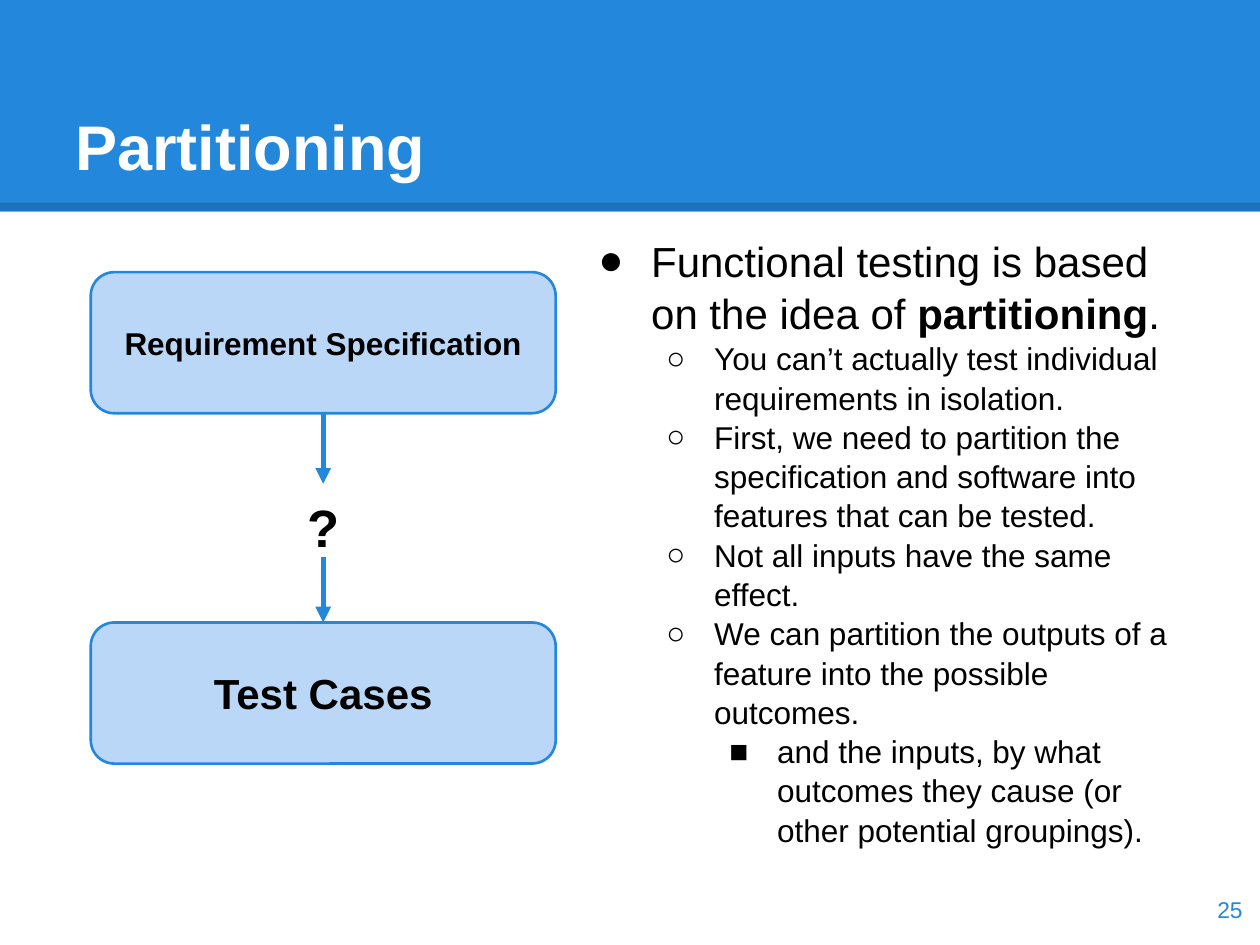
from lxml.etree import SubElement
from pptx import Presentation
from pptx.dml.color import RGBColor
from pptx.enum.shapes import MSO_CONNECTOR, MSO_SHAPE
from pptx.enum.text import MSO_ANCHOR, PP_ALIGN
from pptx.oxml.ns import qn
from pptx.util import Inches, Pt

# Content
TITLE = "Partitioning"
PAGE_NUMBER = "25"
QUESTION = "?"
STAGES = [("Requirement Specification", 18), ("Test Cases", 24)]
# Each point: level, then spans of (text, bold)
POINTS = [
    (0, [("Functional testing is based on the idea of ", False),
         ("partitioning", True), (".", False)]),
    (1, [("You can’t actually test individual requirements in isolation.", False)]),
    (1, [("First, we need to partition the specification and software into "
          "features that can be tested.", False)]),
    (1, [("Not all inputs have the same effect.", False)]),
    (1, [("We can partition the outputs of a feature into the possible outcomes.", False)]),
    (2, [("and the inputs, by what outcomes they cause (or other potential "
          "groupings).", False)]),
]

# Style and layout, in inches and points
COLORS = {"blue": "2388DB", "pale": "BBD7F8", "black": "000000", "white": "FFFFFF"}
FONT = "Arial"
WIDTH, HEIGHT = 10, 7.5
BANNER_HEIGHT = 1.68
STAGE_LEFT, STAGE_TOP, STAGE_WIDTH, STAGE_HEIGHT = 0.72, 2.16, 3.69, 1.12
STAGE_STEP = 2.78
# Level: bullet, hanging indent, text size
LEVELS = [("●", 0.42, 24), ("○", 0.38, 18), ("■", 0.38, 18)]


def color(name):
    return RGBColor.from_string(COLORS[name])


def style(font, size, ink, bold=False):
    font.name, font.size, font.bold = FONT, Pt(size), bold
    font.color.rgb = color(ink)


def set_frame(shape, anchor):
    frame = shape.text_frame
    frame.word_wrap = True
    frame.vertical_anchor = anchor
    frame.margin_left = frame.margin_right = Inches(0.1)
    frame.margin_top = frame.margin_bottom = Inches(0.1)
    return frame


def write(shape, text, size, ink, bold, align, anchor):
    para = set_frame(shape, anchor).paragraphs[0]
    para.text = text
    para.alignment = align
    style(para.runs[0].font, size, ink, bold)


def add_text(page, area, *text_style):
    write(page.shapes.add_textbox(*map(Inches, area)), *text_style)


def add_block(page, kind, area, fill):
    block = page.shapes.add_shape(kind, *map(Inches, area))
    block.shadow.inherit = False
    block.fill.solid()
    block.fill.fore_color.rgb = color(fill)
    block.line.fill.background()
    return block


def add_line(page, start, end, ink, width):
    line = page.shapes.add_connector(MSO_CONNECTOR.STRAIGHT, *map(Inches, start + end))
    line.line.color.rgb = color(ink)
    line.line.width = Pt(width)
    SubElement(line._element.spPr, qn("a:effectLst"))
    return line


def add_arrow(page, x, top, bottom):
    arrow = add_line(page, (x, top), (x, bottom), "blue", 3)
    SubElement(arrow.line._get_or_add_ln(), qn("a:tailEnd"), type="triangle")


def add_bullet(para, level):
    bullet, hanging, _ = LEVELS[level]
    para.level = level
    properties = para._p.get_or_add_pPr()
    properties.set("marL", str(Inches(0.5 * (level + 1))))
    properties.set("indent", str(-Inches(hanging)))
    ink = SubElement(properties, qn("a:buClr"))
    SubElement(ink, qn("a:srgbClr"), val=COLORS["black"])
    SubElement(properties, qn("a:buFont"), typeface=FONT)
    SubElement(properties, qn("a:buChar"), char=bullet)


def draw_banner(page):
    add_block(page, MSO_SHAPE.RECTANGLE, (0, 0, WIDTH, BANNER_HEIGHT), "blue")
    edge = add_line(page, (0, 1.64), (WIDTH, 1.64), "black", 4.5)
    ink = edge.line._get_or_add_ln().find(".//" + qn("a:srgbClr"))
    SubElement(ink, qn("a:alpha"), val="15000")
    add_text(page, (0.5, 0.3, 9, 1.25), TITLE, 36, "white", True,
             PP_ALIGN.LEFT, MSO_ANCHOR.BOTTOM)


def draw_flow(page):
    for row, (label, size) in enumerate(STAGES):
        area = (STAGE_LEFT, STAGE_TOP + row * STAGE_STEP, STAGE_WIDTH, STAGE_HEIGHT)
        stage = add_block(page, MSO_SHAPE.ROUNDED_RECTANGLE, area, "pale")
        stage.adjustments[0] = 0.167
        stage.line.color.rgb = color("blue")
        stage.line.width = Pt(1.5)
        write(stage, label, size, "black", True, PP_ALIGN.CENTER, MSO_ANCHOR.MIDDLE)

    center = STAGE_LEFT + STAGE_WIDTH / 2
    first_bottom = STAGE_TOP + STAGE_HEIGHT
    second_top = STAGE_TOP + STAGE_STEP
    add_arrow(page, center, first_bottom, first_bottom + 0.56)
    add_arrow(page, center, second_top - 0.52, second_top)
    add_text(page, (2.24, 3.83, 0.65, 0.56), QUESTION, 30, "black", True,
             PP_ALIGN.CENTER, MSO_ANCHOR.TOP)


def draw_points(page):
    box = page.shapes.add_textbox(*map(Inches, (4.57, 1.75, 4.93, 5.43)))
    frame = set_frame(box, MSO_ANCHOR.TOP)
    for index, (level, spans) in enumerate(POINTS):
        para = frame.add_paragraph() if index else frame.paragraphs[0]
        para.line_spacing = 1.04
        add_bullet(para, level)
        for text, bold in spans:
            span = para.add_run()
            span.text = text
            style(span.font, LEVELS[level][2], "black", bold)


def main():
    deck = Presentation()
    deck.slide_width, deck.slide_height = Inches(WIDTH), Inches(HEIGHT)
    page = deck.slides.add_slide(deck.slide_layouts[6])
    draw_banner(page)
    draw_flow(page)
    draw_points(page)
    add_text(page, (9.36, 6.93, 0.6, 0.57), PAGE_NUMBER, 13, "blue", False,
             PP_ALIGN.RIGHT, MSO_ANCHOR.MIDDLE)
    deck.save("out.pptx")


if __name__ == "__main__":
    main()
